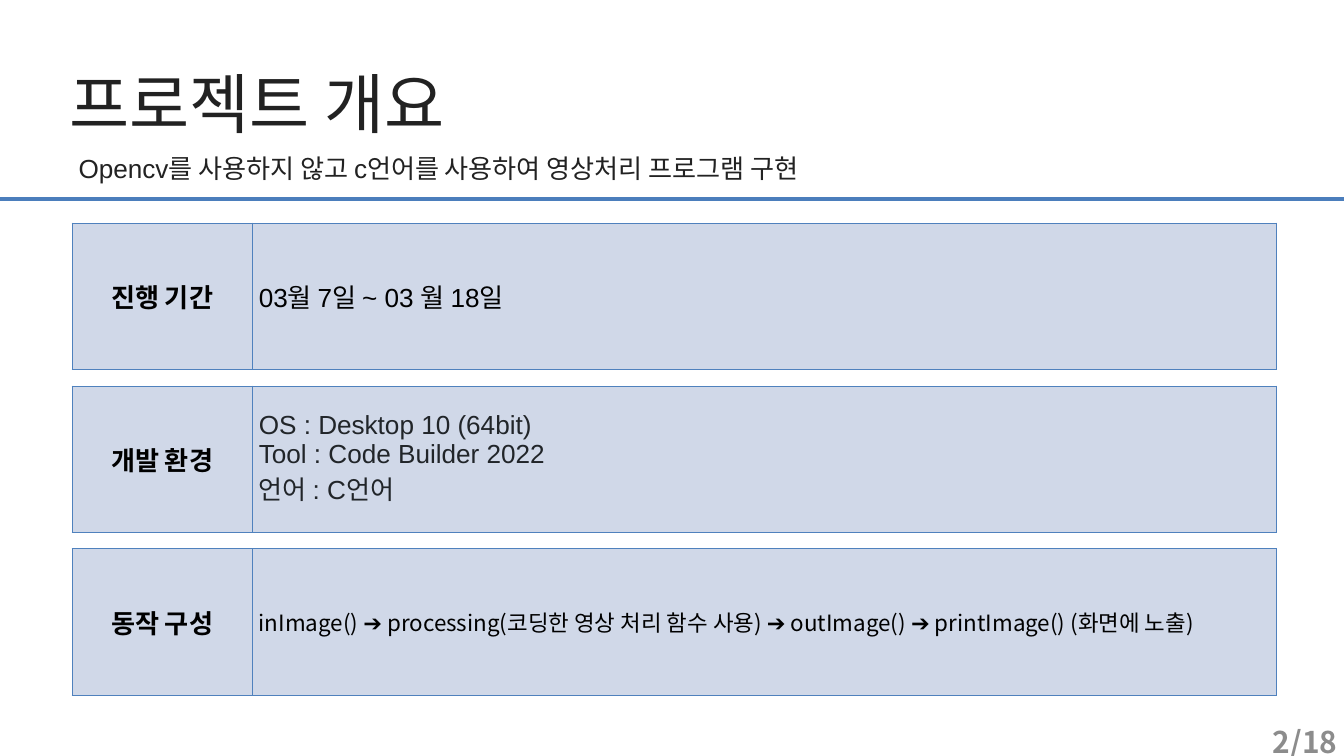
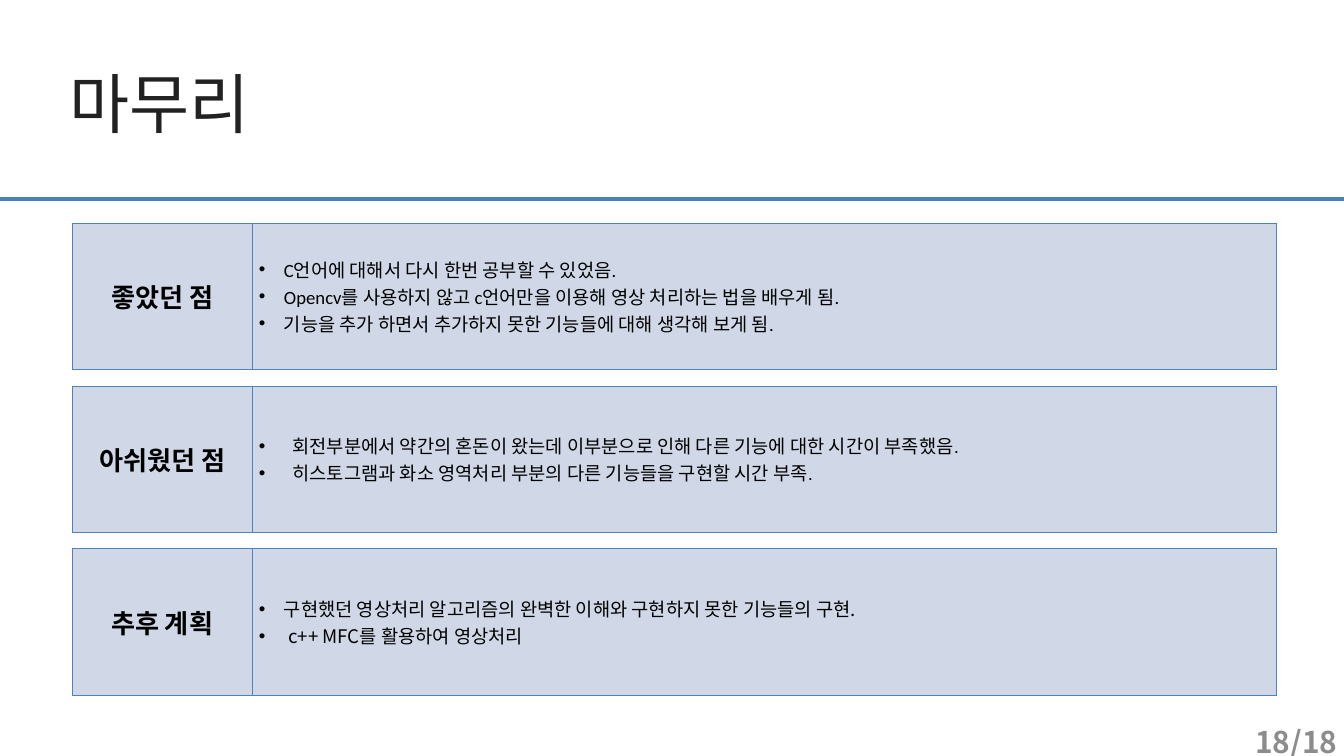
from dataclasses import dataclass

from lxml import etree
from pptx import Presentation
from pptx.dml.color import RGBColor
from pptx.enum.shapes import MSO_CONNECTOR
from pptx.enum.text import MSO_ANCHOR, MSO_AUTO_SIZE, PP_ALIGN
from pptx.oxml.ns import qn
from pptx.util import Cm, Pt

LINE = MSO_CONNECTOR.STRAIGHT
MIDDLE = MSO_ANCHOR.MIDDLE
GROW = MSO_AUTO_SIZE.SHAPE_TO_FIT_TEXT
FIXED = MSO_AUTO_SIZE.NONE
LEFT, CENTER, RIGHT = PP_ALIGN.LEFT, PP_ALIGN.CENTER, PP_ALIGN.RIGHT
NOTO, ARIAL, CALIBRI = "Noto Sans CJK KR", "Arial", "Calibri"


@dataclass(frozen=True)
class Theme:
    """Colours and type sizes of the deck."""
    ink: str = "222222"
    black: str = "000000"
    code: str = "212529"
    grey: str = "8C8C8C"
    rule: str = "4B7EBC"
    edge: str = "4F81BD"
    fill: str = "D0D8E8"
    title: int = 70
    page: int = 32
    label: int = 28
    flow: int = 24
    note: int = 20


@dataclass(frozen=True)
class Band:
    """One labelled row: its lines, and the indent of its bullets in cm."""
    label: str
    lines: tuple
    size: int
    font: str = ARIAL
    face: str = ARIAL
    color: str = Theme.black
    indent: float = 0


THEME = Theme()
WIDE, HIGH = 50.8, 28.58
COLS = (6.81, 38.71)
BAND_X, BAND_Y, BAND_H, STEP = 2.72, 8.43, 5.54, 6.16
RULE_Y = 7.52
TOTAL = 18

SLIDES = (
    ("프로젝트 개요", "Opencv를 사용하지 않고 c언어를 사용하여 영상처리 프로그램 구현", 2, (
        Band("진행 기간", ("03월 7일 ~ 03 월 18일",), THEME.label),
        Band("개발 환경", ("OS : Desktop 10 (64bit)", "Tool : Code Builder 2022", "언어 : C언어"),
             THEME.label, color=THEME.code),
        Band("동작 구성", ("inImage() ➔ processing(코딩한 영상 처리 함수 사용) ➔ "
                       "outImage() ➔ printImage() (화면에 노출)",), THEME.flow, NOTO, NOTO),
    )),
    ("마무리", None, 18, (
        Band("좋았던 점", ("C언어에 대해서 다시 한번 공부할 수 있었음.",
                       "Opencv를 사용하지 않고 c언어만을 이용해 영상 처리하는 법을 배우게 됨.",
                       "기능을 추가 하면서 추가하지 못한 기능들에 대해 생각해 보게 됨."),
             THEME.note, CALIBRI, indent=0.95),
        Band("아쉬웠던 점", ("회전부분에서 약간의 혼돈이 왔는데 이부분으로 인해 다른 기능에 대한 시간이 부족했음.",
                        "히스토그램과 화소 영역처리 부분의 다른 기능들을 구현할 시간 부족."),
             THEME.note, indent=1.27),
        Band("추후 계획", ("구현했던 영상처리 알고리즘의 완벽한 이해와 구현하지 못한 기능들의 구현.",
                       " c++ MFC를 활용하여 영상처리"),
             THEME.note, NOTO, NOTO, indent=0.95),
    )),
)


def add_run(para, text, size, color, font, bold=False):
    """Add one styled run to a paragraph."""
    run = para.add_run()
    run.text = text
    run.font.size = Pt(size)
    run.font.bold = bold
    run.font.color.rgb = RGBColor.from_string(color)
    run.font.name = font
    etree.SubElement(run.font._element, qn("a:ea"), typeface=NOTO)


def add_text(slide, box, text, size, color, font, align=LEFT, bold=False, fit=GROW):
    """Add a text box holding a single line."""
    frame = slide.shapes.add_textbox(*map(Cm, box)).text_frame
    frame.word_wrap = True
    frame.auto_size = fit
    frame.vertical_anchor = MIDDLE
    para = frame.paragraphs[0]
    para.alignment = align
    add_run(para, text, size, color, font, bold)


def add_rule(slide):
    """Draw the line under the heading."""
    rule = slide.shapes.add_connector(LINE, 0, Cm(RULE_Y), Cm(WIDE), Cm(RULE_Y))
    rule.line.color.rgb = RGBColor.from_string(THEME.rule)
    rule.line.width = Pt(3.5)
    etree.SubElement(rule._element.spPr, qn("a:effectLst"))


def set_bullet(para, indent):
    """Give a paragraph a hanging bullet."""
    props = para._p.get_or_add_pPr()
    props.set("marL", str(Cm(indent)))
    props.set("indent", str(-Cm(indent)))
    etree.SubElement(props, qn("a:buFont"), typeface=ARIAL)
    etree.SubElement(props, qn("a:buChar"), char="•")


def style_cell(cell):
    """Border, fill and centre a cell vertically."""
    props = cell._tc.get_or_add_tcPr()
    for side in ("lnL", "lnR", "lnT", "lnB"):
        edge = etree.SubElement(props, qn(f"a:{side}"), w=str(Pt(1)))
        paint = etree.SubElement(edge, qn("a:solidFill"))
        etree.SubElement(paint, qn("a:srgbClr"), val=THEME.edge)
    cell.fill.solid()
    cell.fill.fore_color.rgb = RGBColor.from_string(THEME.fill)
    cell.vertical_anchor = MIDDLE


def fill_body(frame, band):
    """Write the lines as bullets, or as one paragraph with breaks."""
    para = frame.paragraphs[0]
    for index, line in enumerate(band.lines):
        if index and band.indent:
            para = frame.add_paragraph()
        elif index:
            para.add_line_break()
        if band.indent:
            set_bullet(para, band.indent)
        add_run(para, line, band.size, band.color, band.font)


def add_band(slide, top, band):
    """Add a one-row table with a label and a body."""
    table = slide.shapes.add_table(1, 2, Cm(BAND_X), Cm(top), Cm(sum(COLS)), Cm(BAND_H)).table
    table.first_row = table.horz_banding = False
    for column, width in zip(table.columns, COLS):
        column.width = Cm(width)
    label, body = table.cell(0, 0), table.cell(0, 1)
    for cell in (label, body):
        style_cell(cell)
    para = label.text_frame.paragraphs[0]
    para.alignment = CENTER
    add_run(para, band.label, THEME.label, THEME.black, band.face, True)
    fill_body(body.text_frame, band)


def add_page(deck, title, lead, number, bands):
    """Build one slide from its heading and bands."""
    slide = deck.slides.add_slide(deck.slide_layouts[6])
    add_text(slide, (2.39, 2.26, 49.66, 3.25), title, THEME.title, THEME.ink, NOTO)
    if lead:
        add_text(slide, (2.72, 5.64, 31.14, 1.45), lead, THEME.label, THEME.ink, ARIAL)
    for index, band in enumerate(bands):
        add_band(slide, BAND_Y + index * STEP, band)
    add_text(slide, (44.88, 27.53, 5.92, 1.02), f"{number}/{TOTAL}", THEME.page,
             THEME.grey, NOTO, RIGHT, True, FIXED)
    add_rule(slide)


def main():
    """Build and save the deck."""
    deck = Presentation()
    deck.slide_width, deck.slide_height = Cm(WIDE), Cm(HIGH)
    for page in SLIDES:
        add_page(deck, *page)
    deck.save("out.pptx")


if __name__ == "__main__":
    main()
